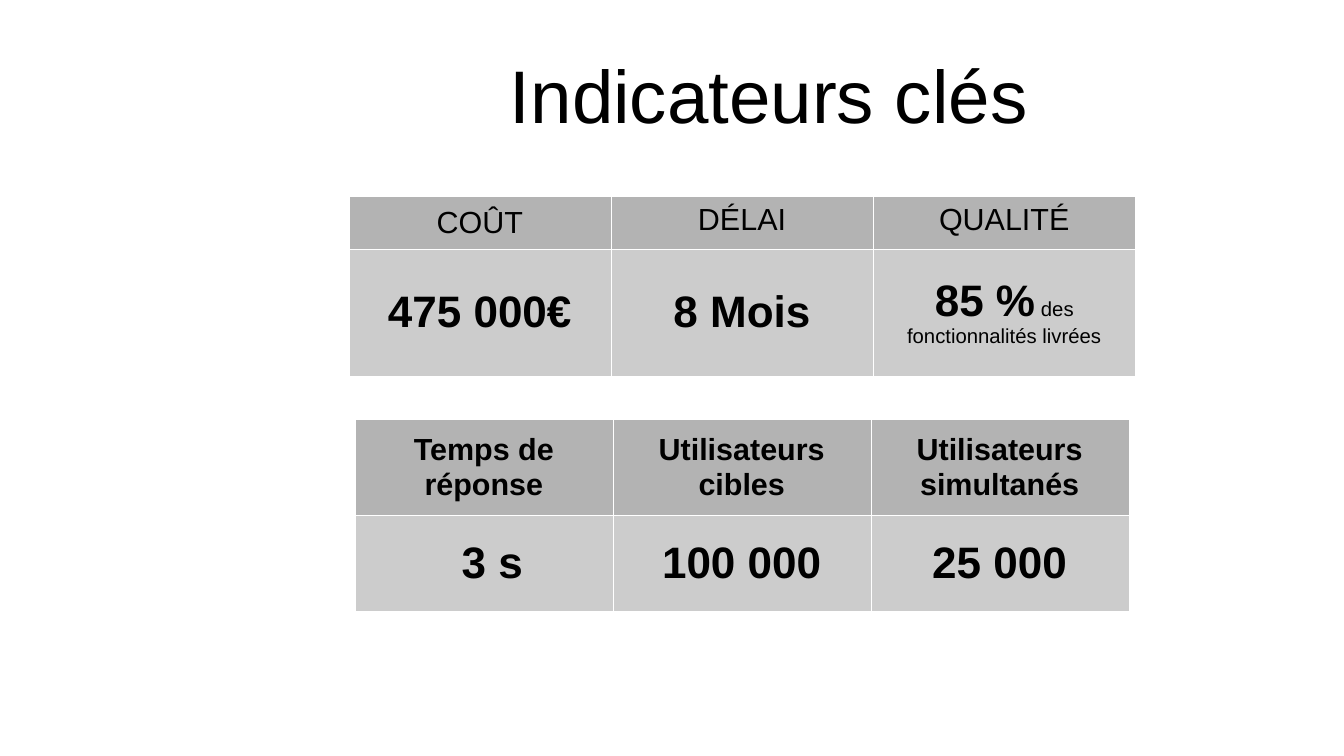
"""Build the key indicators slide with its two tables."""
from lxml.etree import SubElement
from pptx import Presentation
from pptx.dml.color import RGBColor
from pptx.enum.text import MSO_ANCHOR, PP_ALIGN
from pptx.oxml.ns import qn
from pptx.util import Pt


def style_text(span, size, bold=False):
    span.font.name = "Arial"
    span.font.size = Pt(size)
    span.font.bold = bold
    span.font.color.rgb = color("000000")


def color(value):
    return RGBColor.from_string(value)


deck = Presentation()
deck.slide_width, deck.slide_height = Pt(793.5), Pt(446.4)
page = deck.slides.add_slide(deck.slide_layouts[5])

title = page.shapes.title
title.left, title.top, title.width, title.height = Pt(156.3), Pt(18), Pt(595.5), Pt(74.9)
frame = title.text_frame
frame.text = "Indicateurs clés"
frame.margin_left = frame.margin_top = frame.margin_right = frame.margin_bottom = 0
frame.vertical_anchor = MSO_ANCHOR.MIDDLE
frame.paragraphs[0].alignment = PP_ALIGN.CENTER
style_text(frame.paragraphs[0].runs[0], 44)

# left, top, column width, row heights, bold headings, headings, values
tables = [
    (205.9, 115.9, 154.8, (31, 75), False,
     ["COÛT", "DÉLAI", "QUALITÉ"], ["475 000€", "8 Mois", "85 %"]),
    (209.5, 247.7, 152.3, (56.6, 56.6), True,
     ["Temps de réponse", "Utilisateurs cibles", "Utilisateurs simultanés"],
     ["3 s", "100 000", "25 000"]),
]
grids = []
for left, top, column_width, row_heights, bold_headings, headings, values in tables:
    grid = page.shapes.add_table(
        2, 3, Pt(left), Pt(top), Pt(3 * column_width), Pt(sum(row_heights))).table
    grids.append(grid)
    for column in grid.columns:
        column.width = Pt(column_width)
    rows = [(headings, 18, bold_headings, "B3B3B3"), (values, 26, True, "CCCCCC")]
    for row, (texts, size, bold, fill) in enumerate(rows):
        grid.rows[row].height = Pt(row_heights[row])
        for column, text in enumerate(texts):
            cell = grid.cell(row, column)
            cell.text = text
            cell.vertical_anchor = MSO_ANCHOR.MIDDLE
            para = cell.text_frame.paragraphs[0]
            para.alignment = PP_ALIGN.CENTER
            style_text(para.runs[0], size, bold)
            properties = cell._tc.get_or_add_tcPr()
            for side in ("a:lnL", "a:lnR", "a:lnT", "a:lnB"):
                border = SubElement(properties, qn(side), w="720")
                paint = SubElement(border, qn("a:solidFill"))
                SubElement(paint, qn("a:srgbClr"), val="FFFFFF")
            cell.fill.solid()
            cell.fill.fore_color.rgb = color(fill)

main_grid, usage_grid = grids
for column in (1, 2):
    main_grid.cell(0, column).vertical_anchor = MSO_ANCHOR.TOP
span = main_grid.cell(1, 2).text_frame.paragraphs[0].add_run()
span.text = " des fonctionnalités livrées"
style_text(span, 12)
usage_grid.cell(1, 0).margin_left = Pt(17.2)

deck.save("out.pptx")
